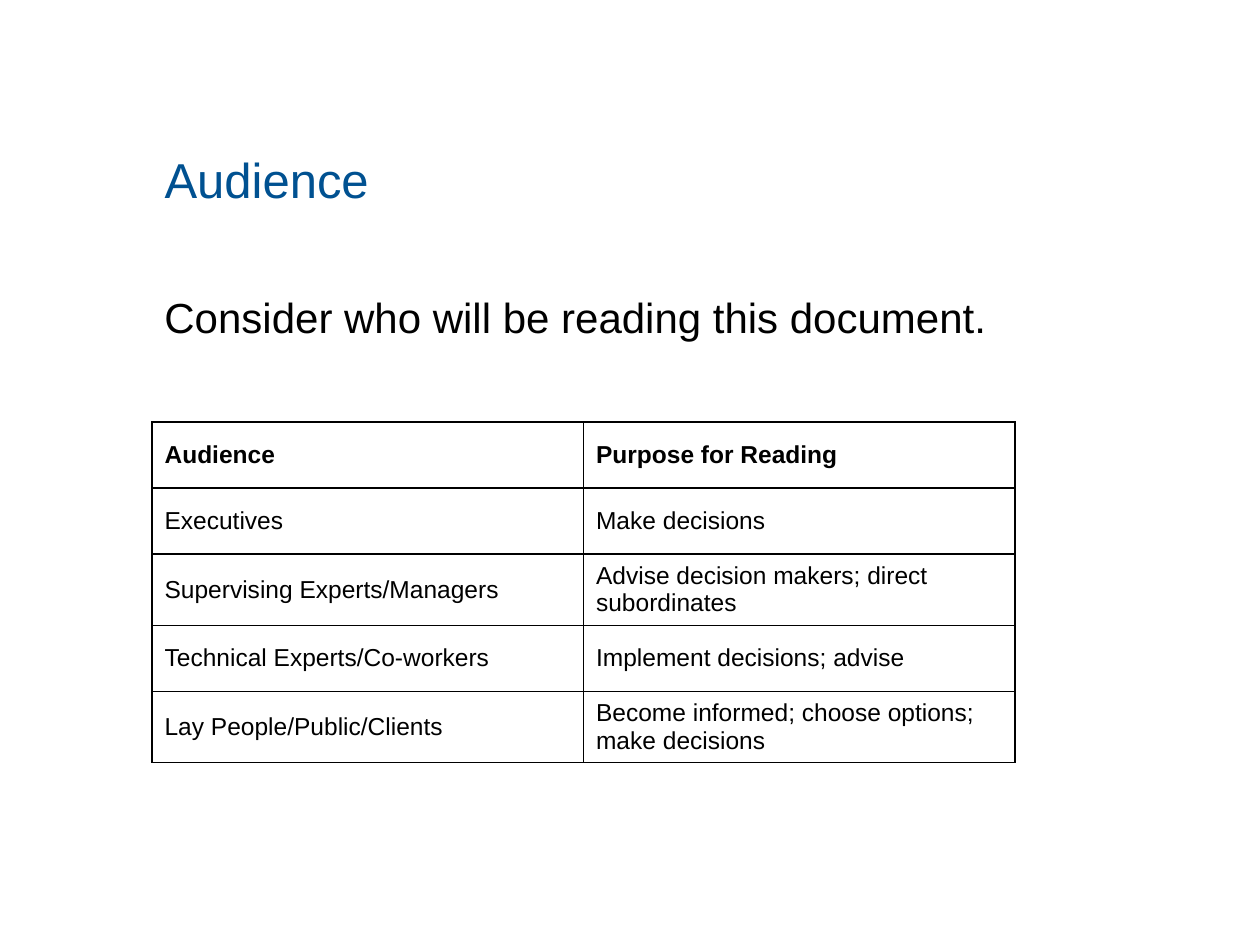
from dataclasses import dataclass

from lxml.etree import SubElement
from pptx import Presentation
from pptx.dml.color import RGBColor
from pptx.enum.text import MSO_ANCHOR as Anchor, PP_ALIGN as Align
from pptx.oxml.ns import qn
from pptx.util import Emu, Pt

PX = 914400 // 126


@dataclass(frozen=True)
class Theme:
    font: str = "Arial"
    heading: str = "005191"
    ink: str = "000000"
    title_size: int = 28
    body_size: int = 24
    table_size: int = 14
    border: float = 0.75


THEME = Theme()
LEFT, WIDTH = 152, 863
ROW_HEIGHT = 66
AUDIENCES = [
    ("Audience", "Purpose for Reading"),
    ("Executives", "Make decisions"),
    ("Supervising Experts/Managers", "Advise decision makers; direct subordinates"),
    ("Technical Experts/Co-workers", "Implement decisions; advise"),
    ("Lay People/Public/Clients", "Become informed; choose options; make decisions"),
]


def px(*lengths):
    return [Emu(length * PX) for length in lengths]


def set_all(target, **values):
    for name, value in values.items():
        setattr(target, name, value)


def write(frame, text, size, color, bold=False, line_spacing=1.0):
    frame.text = text
    paragraph = frame.paragraphs[0]
    set_all(paragraph, alignment=Align.LEFT, line_spacing=line_spacing)
    font = paragraph.runs[0].font
    set_all(font, name=THEME.font, size=Pt(size), bold=bold)
    font.color.rgb = RGBColor.from_string(color)


def add_title(slide, text):
    title = slide.shapes.title
    left, top, width, height = px(LEFT, 97, WIDTH, 158)
    set_all(title, left=left, top=top, width=width, height=height)
    title.text_frame.vertical_anchor = Anchor.MIDDLE
    write(title.text_frame, text, THEME.title_size, THEME.heading, line_spacing=1.1)


def add_lead(slide, text):
    frame = slide.shapes.add_textbox(*px(LEFT, 280, WIDTH, 527)).text_frame
    frame.word_wrap = True
    write(frame, text, THEME.body_size, THEME.ink, line_spacing=1.1)


def add_borders(cell):
    """Insert the four edges ahead of the fill, as the schema requires."""
    properties = cell._tc.get_or_add_tcPr()
    for index, side in enumerate(("lnL", "lnR", "lnT", "lnB")):
        line = SubElement(properties, qn(f"a:{side}"), w=str(Pt(THEME.border)))
        fill = SubElement(line, qn("a:solidFill"))
        SubElement(fill, qn("a:srgbClr"), val=THEME.ink)
        properties.insert(index, line)


def add_audience_table(slide, rows):
    bounds = px(LEFT, 422, WIDTH, ROW_HEIGHT * len(rows))
    table = slide.shapes.add_table(len(rows), len(rows[0]), *bounds).table
    set_all(table, first_row=False, horz_banding=False)
    for row_index, texts in enumerate(rows):
        for column_index, text in enumerate(texts):
            cell = table.cell(row_index, column_index)
            cell.vertical_anchor = Anchor.MIDDLE
            cell.fill.background()
            write(cell.text_frame, text, THEME.table_size, THEME.ink, bold=row_index == 0)
            add_borders(cell)


def main():
    deck = Presentation()
    slide_width, slide_height = px(1260, 945)
    set_all(deck, slide_width=slide_width, slide_height=slide_height)
    slide = deck.slides.add_slide(deck.slide_layouts[5])
    add_title(slide, "Audience")
    add_lead(slide, "Consider who will be reading this document.")
    add_audience_table(slide, AUDIENCES)
    deck.save("out.pptx")


if __name__ == "__main__":
    main()
